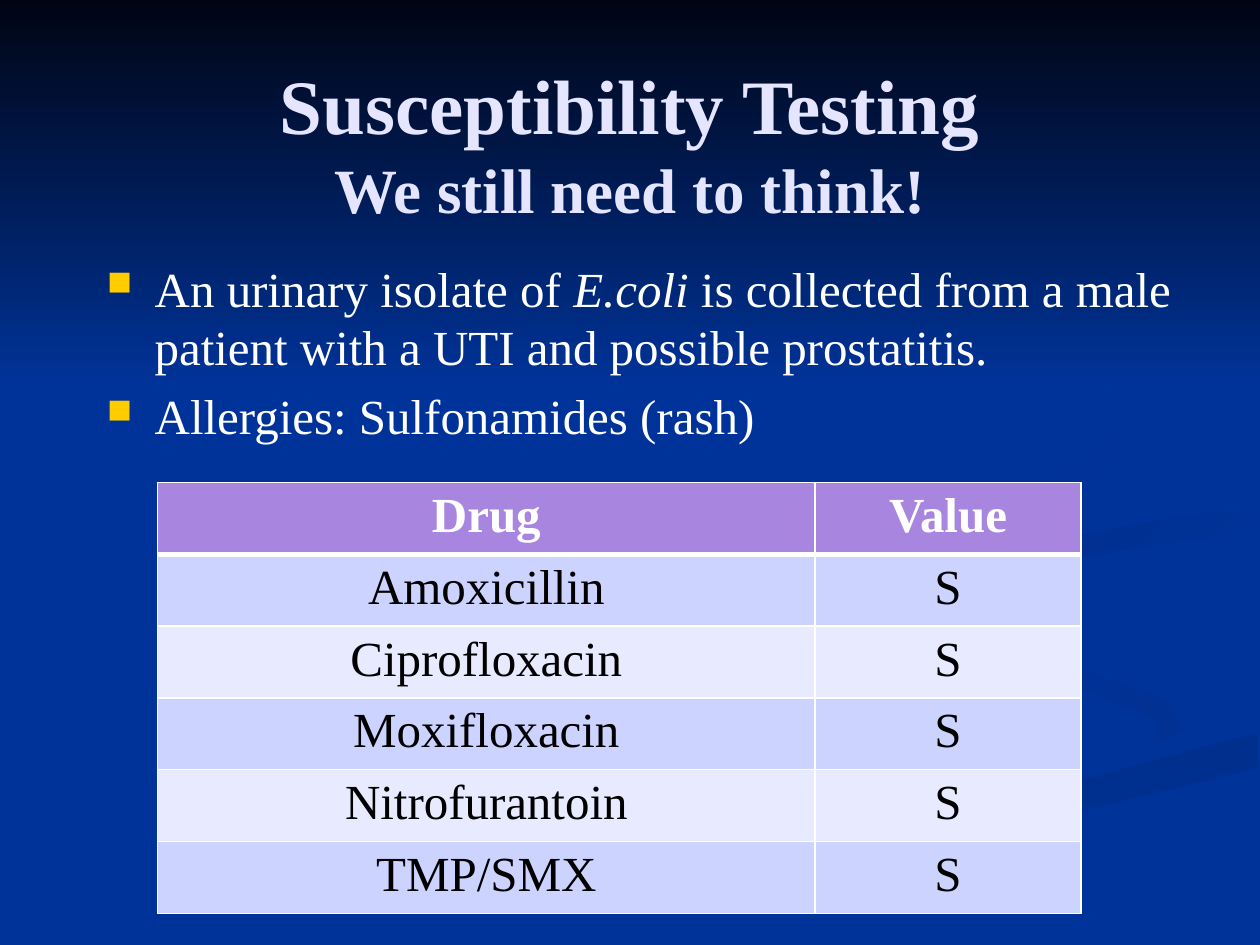
from lxml import etree
from pptx import Presentation
from pptx.dml.color import RGBColor
from pptx.enum.shapes import MSO_SHAPE
from pptx.enum.text import MSO_ANCHOR, PP_ALIGN
from pptx.oxml.ns import qn
from pptx.util import Inches, Pt

TITLE_LINES = ["Susceptibility Testing", "We still need to think!"]
# Each bullet is a list of (text, italic) runs
BULLETS = [
    [("An urinary isolate of ", False), ("E.coli", True),
     (" is collected from a male patient with a UTI and possible prostatitis.", False)],
    [("Allergies: Sulfonamides (rash)", False)],
]
RESULTS = [
    ("Drug", "Value"),
    ("Amoxicillin", "S"),
    ("Ciprofloxacin", "S"),
    ("Moxifloxacin", "S"),
    ("Nitrofurantoin", "S"),
    ("TMP/SMX", "S"),
]
COLUMN_WIDTHS = [5.22, 2.11]
ROW_HEIGHT = 0.57

THEME = {
    "font": "Times New Roman",
    "title_sizes": [44, 36], "body_size": 28,
    "background": "003399", "band": "000514",
    "title": "E5E5FF", "body": "FFFFFF", "bullet": "FFCC00",
    "header": "A886E0", "rows": ["CDD3FF", "E8EAFF"],
    "cell_text": "000000", "border": "FFFFFF",
    "light_ribbon": "003193", "dark_ribbon": "002F8D",
}

# Ribbons: (start colour, end colour, clockwise angle, smooth edges in inches)
RIBBONS = [
    ("background", "light_ribbon", 0, [
        [(5.75, 4.59), (6.3, 5.05), (7.62, 5.47), (7.6, 5.9), (5.4, 6.49), (3, 7.49)],
        [(3.61, 7.49), (5.64, 6.65), (7.86, 6), (7.81, 5.53), (6.42, 5.07)]]),
    ("background", "light_ribbon", 45, [
        [(7.24, 4.64), (7.97, 5.24), (9.15, 5.71), (8.94, 6.05)],
        [(9.41, 5.81), (9.05, 5.4), (7.58, 4.98)]]),
    ("dark_ribbon", "background", 90, [
        [(9.98, 5.81), (7.64, 6.47), (5.03, 7.49)],
        [(5.71, 7.49), (7.22, 6.82), (9.98, 6.09)]]),
    ("background", "background", 0, [
        [(9.99, 3.87), (8.3, 4.15), (7.25, 4.64), (8.31, 5.19), (9.43, 5.75),
         (7.8, 6.34), (4.77, 7.49)],
        [(5.03, 7.49), (7.65, 6.47), (9.99, 5.81)],
        [(9.99, 5.38), (8.32, 4.98), (7.82, 4.6), (8.65, 4.24), (9.99, 4.02)]]),
    ("dark_ribbon", "background", 45, [
        [(9.98, 4.02), (8.49, 4.27), (7.81, 4.6), (8.26, 4.96)],
        [(8.05, 4.72), (8.59, 4.43), (9.98, 4.2)]]),
    ("dark_ribbon", "background", 45, [
        [(7.62, 2.33), (8.64, 2.91), (8.9, 3.5), (8.25, 4.02), (6.83, 4.3),
         (5.93, 4.7), (6.22, 5)],
        [(5.77, 4.62), (6.76, 4.14), (8.61, 3.7), (8.76, 3.06), (7.62, 2.33)]]),
]


def rgb(name):
    return RGBColor.from_string(THEME[name])


def style(font, size, color, bold=False, italic=False):
    font.name, font.size, font.bold, font.italic = THEME["font"], Pt(size), bold, italic
    font.color.rgb = rgb(color)


def paint(shape, start, end, angle):
    shape.shadow.inherit = False
    shape.line.fill.background()
    shape.fill.gradient()
    shape.fill.gradient_angle = (360 - angle) % 360
    for stop, color in zip(shape.fill.gradient_stops, (start, end)):
        stop.color.rgb = rgb(color)


def smooth(edge, steps=6):
    """Return points on a Catmull-Rom curve through the edge, in 1/100 inch."""
    padded = [edge[0], *edge, edge[-1]]
    points = []
    for a, b, c, d in zip(padded, padded[1:], padded[2:], padded[3:]):
        for step in range(steps):
            t = step / steps
            points.append(tuple(round(50 * (
                2 * q + (r - p) * t + (2 * p - 5 * q + 4 * r - s) * t ** 2
                + (3 * q - p - 3 * r + s) * t ** 3)) for p, q, r, s in zip(a, b, c, d)))
    return points + [tuple(round(100 * value) for value in edge[-1])]


def add_background(slide):
    slide.background.fill.solid()
    slide.background.fill.fore_color.rgb = rgb("background")
    for start, end, angle, edges in RIBBONS:
        outline = [point for edge in edges for point in smooth(edge)]
        builder = slide.shapes.build_freeform(*outline[0], scale=Inches(0.01))
        builder.add_line_segments(outline[1:], close=True)
        paint(builder.convert_to_shape(), start, end, angle)
    band = slide.shapes.add_shape(MSO_SHAPE.RECTANGLE, 0, 0, Inches(10), Inches(3.08))
    paint(band, "band", "background", 90)


def add_text_frame(slide, *box):
    frame = slide.shapes.add_textbox(*map(Inches, box)).text_frame
    frame.word_wrap = True
    return frame


def add_title(slide):
    frame = add_text_frame(slide, 0.75, 0.5, 8.5, 1.25)
    frame.vertical_anchor = MSO_ANCHOR.MIDDLE
    frame.text = "\v".join(TITLE_LINES)
    heading = frame.paragraphs[0]
    heading.alignment = PP_ALIGN.CENTER
    for run, size in zip(heading.runs, THEME["title_sizes"]):
        style(run.font, size, "title", bold=True)


def add_bullet_mark(paragraph):
    properties = paragraph._p.get_or_add_pPr()
    properties.set("marL", str(Inches(0.38)))
    properties.set("indent", str(-Inches(0.38)))
    color = etree.SubElement(properties, qn("a:buClr"))
    etree.SubElement(color, qn("a:srgbClr"), val=THEME["bullet"])
    etree.SubElement(properties, qn("a:buSzPct"), val="70000")
    etree.SubElement(properties, qn("a:buChar"), char="■")


def add_bullets(slide):
    frame = add_text_frame(slide, 0.75, 2, 8.67, 1.5)
    for index, pieces in enumerate(BULLETS):
        bullet = frame.add_paragraph() if index else frame.paragraphs[0]
        add_bullet_mark(bullet)
        if index:
            bullet.space_before = Pt(0.2 * THEME["body_size"])
        for text, italic in pieces:
            run = bullet.add_run()
            run.text = text
            style(run.font, THEME["body_size"], "body", italic=italic)


def set_borders(cell, top, bottom):
    """Line the cell; the lines must precede its fill in the XML."""
    properties = cell._tc.get_or_add_tcPr()
    for index, (side, width) in enumerate(
            [("lnL", 1), ("lnR", 1), ("lnT", top), ("lnB", bottom)]):
        line = etree.Element(qn(f"a:{side}"), w=str(Pt(width)))
        fill = etree.SubElement(line, qn("a:solidFill"))
        etree.SubElement(fill, qn("a:srgbClr"), val=THEME["border"])
        properties.insert(index, line)


def add_results(slide):
    table = slide.shapes.add_table(
        len(RESULTS), len(COLUMN_WIDTHS), Inches(1.25), Inches(3.83),
        Inches(sum(COLUMN_WIDTHS)), Inches(ROW_HEIGHT * len(RESULTS))).table
    for column, width in zip(table.columns, COLUMN_WIDTHS):
        column.width = Inches(width)
    for r, values in enumerate(RESULTS):
        header = r == 0
        fill = THEME["header"] if header else THEME["rows"][(r - 1) % 2]
        for c, value in enumerate(values):
            cell = table.cell(r, c)
            cell.text = value
            entry = cell.text_frame.paragraphs[0]
            entry.alignment = PP_ALIGN.CENTER
            style(entry.runs[0].font, THEME["body_size"],
                  "body" if header else "cell_text", bold=header)
            cell.fill.solid()
            cell.fill.fore_color.rgb = RGBColor.from_string(fill)
            set_borders(cell, top=3 if r == 1 else 1, bottom=3 if header else 1)


def main():
    deck = Presentation()
    deck.slide_width, deck.slide_height = Inches(10), Inches(7.5)
    slide = deck.slides.add_slide(deck.slide_layouts[6])
    add_background(slide)
    add_title(slide)
    add_bullets(slide)
    add_results(slide)
    deck.save("out.pptx")


if __name__ == "__main__":
    main()
